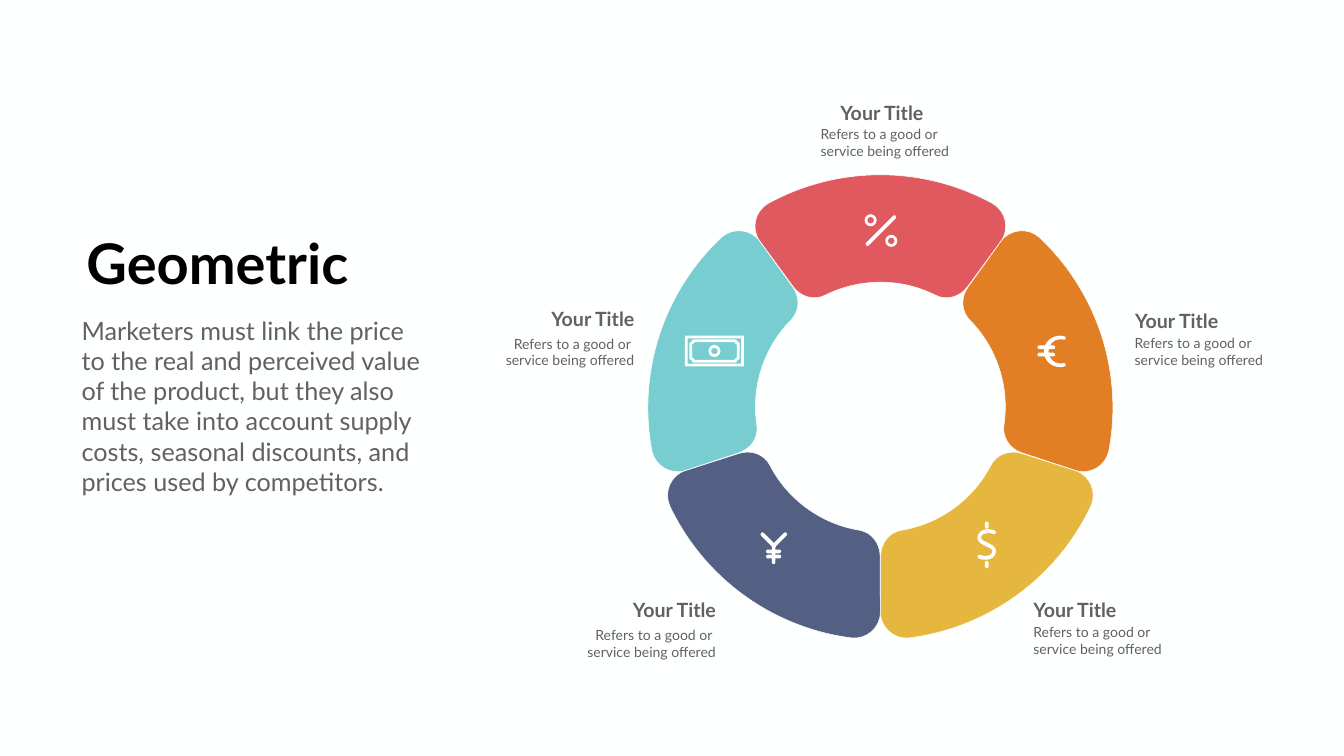
"""Build a slide with a five-part ring of currency icons, labels and a heading."""
from math import cos, radians, sin

from lxml.etree import SubElement
from pptx import Presentation
from pptx.dml.color import RGBColor
from pptx.enum.shapes import MSO_SHAPE as Preset
from pptx.enum.text import PP_ALIGN as Align
from pptx.oxml.ns import qn
from pptx.util import Cm, Pt

COLORS = {
    "background": "FEFFFF", "white": "FFFFFF", "heading": "000000", "text": "616161",
    "red": "DF595E", "orange": "E27E24", "yellow": "E5B73F", "navy": "536083", "teal": "77CDCF",
}
RING_CENTER = (44.36, 20.52)

deck = Presentation()
deck.slide_width, deck.slide_height = Cm(67.72), Cm(38.1)
page = deck.slides.add_slide(deck.slide_layouts[6])
page.background.fill.solid()
page.background.fill.fore_color.rgb = RGBColor.from_string(COLORS["background"])


def add_outline(center, points, color):
    """Draw a filled closed outline of cubic curves around a center."""
    corners = [(Cm(center[0] + x), Cm(center[1] + y)) for x, y in points]
    builder = page.shapes.build_freeform(*corners[0], scale=1.0)
    builder.add_line_segments(corners[1:], close=False)
    shape = builder.convert_to_shape()
    outline = next(shape.element.iter(qn("a:path")))
    lines = outline.findall(qn("a:lnTo"))
    for start in range(0, len(lines), 3):
        curve = SubElement(outline, qn("a:cubicBezTo"))
        for line in lines[start:start + 3]:
            curve.append(line[0])
            outline.remove(line)
    SubElement(outline, qn("a:close"))
    shape.shadow.inherit = False
    shape.fill.solid()
    shape.fill.fore_color.rgb = RGBColor.from_string(COLORS[color])
    shape.line.fill.background()
    return shape


def add_text(left, top, width, height, lines, size, color="text", bold=False, align=Align.LEFT):
    """Add a wrapped text box with one paragraph per line."""
    box = page.shapes.add_textbox(Cm(left), Cm(top), Cm(width), Cm(height))
    frame = box.text_frame
    frame.word_wrap = True
    frame.text = "\n".join(lines)
    for para in frame.paragraphs:
        para.alignment = align
        para.font.name = "Lato"
        para.font.size = Pt(size)
        para.font.bold = bold
        para.font.color.rgb = RGBColor.from_string(COLORS[color])


half_segment = [
    (0, -6.3), (0.99, -6.3), (1.93, -6.07), (2.79, -5.64), (3.35, -5.36), (4.01, -5.56),
    (4.39, -6.07), (4.39, -6.07), (6.07, -8.36), (6.07, -8.36), (6.53, -8.99), (6.32, -9.88),
    (5.66, -10.26), (3.99, -11.18), (2.03, -11.71), (0, -11.71),
]
segment = half_segment + [(-x, y) for x, y in reversed(half_segment)][1:]
for index, color in enumerate(("red", "orange", "yellow", "navy", "teal")):
    angle = radians(72 * index)
    turned = [(x * cos(angle) - y * sin(angle), x * sin(angle) + y * cos(angle)) for x, y in segment]
    part = add_outline(RING_CENTER, turned, color)
    part.line.color.rgb = RGBColor.from_string(COLORS["white"])
    part.line.width = Pt(0.75)

half_euro = [
    (0, 0), (0, -0.46), (0.38, -0.79), (0.81, -0.79), (0.89, -0.79), (0.97, -0.79), (1.02, -0.76),
    (1.09, -0.76), (1.12, -0.71), (1.09, -0.66), (1.09, -0.61), (1.02, -0.56), (0.97, -0.59),
    (0.94, -0.61), (0.89, -0.61), (0.81, -0.61), (0.48, -0.61), (0.23, -0.33), (0.23, 0),
]
add_outline((52.6, 17.71), half_euro + [(x, -y) for x, y in reversed(half_euro)][1:], "white")

half_dollar = [
    (-0.32, -0.06), (-0.42, -0.14), (-0.47, -0.24), (-0.47, -0.34), (-0.47, -0.47), (-0.39, -0.6),
    (-0.29, -0.67), (-0.11, -0.8), (0.17, -0.8), (0.42, -0.7), (0.47, -0.67), (0.47, -0.6),
    (0.47, -0.57), (0.44, -0.52), (0.39, -0.5), (0.34, -0.52), (0.14, -0.6), (-0.04, -0.6),
    (-0.19, -0.52), (-0.24, -0.47), (-0.29, -0.39), (-0.29, -0.34), (-0.29, -0.24), (-0.11, -0.14),
    (0.04, -0.09), (0.14, -0.04), (0.24, 0.01), (0.32, 0.06),
]
add_outline((49.72, 27.44), half_dollar + [(-x, -y) for x, y in half_dollar][1:], "white")

bar, ring = (Preset.ROUNDED_RECTANGLE, 0.5), (Preset.DONUT, 0.23)
icon_parts = [
    (*bar, 49.72, 26.47, 0.18, 0.36, 0),
    (*bar, 49.72, 28.45, 0.18, 0.36, 0),
    (*bar, 52.72, 17.5, 0.89, 0.19, 0),
    (*bar, 52.72, 17.87, 0.89, 0.19, 0),
    (*bar, 38.71, 27.22, 1.02, 0.19, 45),
    (*bar, 39.27, 27.22, 1.02, 0.19, -45),
    (*bar, 38.98, 27.91, 0.18, 1.04, 0),
    (*bar, 38.98, 27.79, 0.76, 0.19, 0),
    (*bar, 38.98, 28.05, 0.76, 0.19, 0),
    (*bar, 44.39, 11.62, 2.1, 0.19, -45),
    (*ring, 43.87, 11.1, 0.61, 0.61, 0),
    (*ring, 44.91, 12.14, 0.61, 0.61, 0),
    (*ring, 36, 17.69, 0.61, 0.61, 0),
    (Preset.FRAME, 0.09, 36, 17.69, 2.97, 1.55, 0),
    (Preset.PLAQUE, 0.13, 36, 17.69, 2.39, 1.03, 0),
]
for preset, adjustment, x, y, width, height, rotation in icon_parts:
    part = page.shapes.add_shape(preset, Cm(x - width / 2), Cm(y - height / 2), Cm(width), Cm(height))
    part.adjustments[0] = adjustment
    part.rotation = rotation
    part.shadow.inherit = False
    if preset == Preset.PLAQUE:
        part.fill.background()
        part.line.color.rgb = RGBColor.from_string(COLORS["white"])
        part.line.width = Pt(4)
    else:
        part.fill.solid()
        part.fill.fore_color.rgb = RGBColor.from_string(COLORS["white"])
        part.line.fill.background()

add_text(3.96, 11.4, 14, 3.68, ["Geometric "], 80, "heading", True, Align.CENTER)
add_text(3.86, 15.75, 17.81, 9.27, [
    "Marketers must link the price to the real and perceived value of the product, but they also "
    "must take into account supply costs, seasonal discounts, and prices used by competitors."], 36)

labels = [
    (56.95, 15.44, 56.92, 16.74, Align.LEFT),
    (51.82, 30, 51.82, 31.29, Align.LEFT),
    (42.09, 4.98, 41.1, 6.22, Align.LEFT),
    (27.23, 15.32, 25.07, 16.76, Align.RIGHT),
    (31.34, 30, 29.18, 31.45, Align.RIGHT),
]
for title_left, title_top, detail_left, detail_top, align in labels:
    first_line = "Refers to a good or " if align == Align.RIGHT else "Refers to a good or"
    add_text(title_left, title_top, 4.98, 1.3, ["Your Title"], 28, bold=True, align=align)
    add_text(detail_left, detail_top, 7.14, 1.85, [first_line, "service being offered"], 20, align=align)

deck.save("out.pptx")
